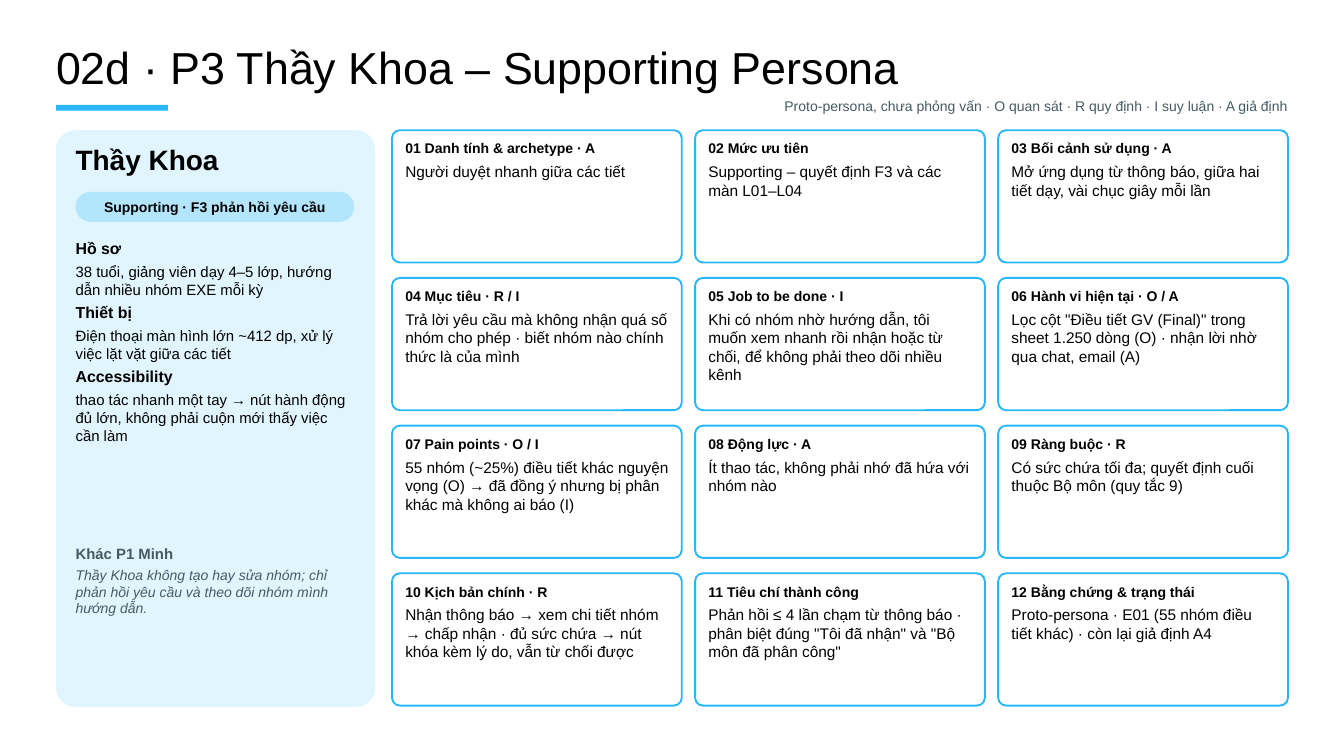
from dataclasses import dataclass
from typing import Optional

from pptx import Presentation
from pptx import util as u
from pptx.dml.color import RGBColor
from pptx.enum import shapes, text

PX = u.Inches(1) // 96
FONT = "Arial"
BLACK, SLATE, WHITE = "000000", "455A64", "FFFFFF"
ACCENT, PALE, SOFT = "29B6F6", "E1F5FE", "B3E5FC"


@dataclass(frozen=True)
class Box:
    left: int
    top: int
    width: int
    height: int

    def emu(self) -> tuple[int, int, int, int]:
        return (self.left * PX, self.top * PX, self.width * PX, self.height * PX)


@dataclass(frozen=True)
class Line:
    words: str
    size: float
    bold: bool = False
    italic: bool = False
    color: str = BLACK


@dataclass(frozen=True)
class Card:
    heading: str
    body: str


def rgb(color: str) -> RGBColor:
    return RGBColor.from_string(color)


def style(paragraph, line: Line) -> None:
    paragraph.text = line.words
    font = paragraph.font
    font.name, font.size = FONT, u.Pt(line.size)
    font.bold, font.italic = line.bold, line.italic
    font.color.rgb = rgb(line.color)


def prepare(frame, anchor=text.MSO_ANCHOR.TOP) -> None:
    frame.word_wrap = True
    frame.auto_size = text.MSO_AUTO_SIZE.NONE
    frame.vertical_anchor = anchor
    frame.margin_left = frame.margin_top = 0
    frame.margin_right = frame.margin_bottom = 0


def write(slide, box: Box, lines: list[Line], after: int = 4,
          align=text.PP_ALIGN.LEFT, anchor=text.MSO_ANCHOR.TOP) -> None:
    frame = slide.shapes.add_textbox(*box.emu()).text_frame
    prepare(frame, anchor)
    for index, line in enumerate(lines):
        paragraph = frame.add_paragraph() if index else frame.paragraphs[0]
        paragraph.alignment = align
        paragraph.space_after = u.Pt(after)
        style(paragraph, line)


def panel(slide, box: Box, fill: str, rounding: Optional[float] = None,
          outline: Optional[str] = None) -> None:
    kind = shapes.MSO_SHAPE.RECTANGLE if rounding is None else shapes.MSO_SHAPE.ROUNDED_RECTANGLE
    shape = slide.shapes.add_shape(kind, *box.emu())
    shape.shadow.inherit = False
    shape.fill.solid()
    shape.fill.fore_color.rgb = rgb(fill)
    if rounding is not None:
        shape.adjustments[0] = rounding
    if outline:
        shape.line.color.rgb = rgb(outline)
        shape.line.width = u.Pt(2)
    else:
        shape.line.fill.background()


def draw_header(slide) -> None:
    title = slide.shapes.title
    title.left, title.top, title.width, title.height = Box(80, 69, 1780, 68).emu()
    prepare(title.text_frame)
    heading = title.text_frame.paragraphs[0]
    style(heading, Line("02d · P3 Thầy Khoa – Supporting Persona", 48))
    heading.alignment = text.PP_ALIGN.LEFT
    heading.line_spacing = u.Pt(48)
    panel(slide, Box(80, 150, 160, 8), ACCENT)
    legend = "Proto-persona, chưa phỏng vấn · O quan sát · R quy định · I suy luận · A giả định"
    write(slide, Box(864, 139, 976, 34), [Line(legend, 15, color=SLATE)],
          align=text.PP_ALIGN.RIGHT)


def draw_profile(slide) -> None:
    left, width = 108, 398
    panel(slide, Box(80, 186, 456, 824), PALE, 0.06)
    write(slide, Box(left, 204, width, 58), [Line("Thầy Khoa", 30, bold=True)])
    panel(slide, Box(left, 274, width, 43), SOFT, 0.5)
    write(slide, Box(left, 276, width, 38),
          [Line("Supporting · F3 phản hồi yêu cầu", 15, bold=True)],
          align=text.PP_ALIGN.CENTER, anchor=text.MSO_ANCHOR.MIDDLE)
    details = []
    for fact in FACTS:
        details += [Line(fact.heading, 17, bold=True), Line(fact.body, 16)]
    write(slide, Box(left, 341, width, 442), details, after=5)
    contrast = "Thầy Khoa không tạo hay sửa nhóm; chỉ phản hồi yêu cầu và theo dõi nhóm mình hướng dẫn."
    write(slide, Box(left, 778, width, 211),
          [Line("Khác P1 Minh", 16, bold=True, color=SLATE),
           Line(contrast, 15, italic=True, color=SLATE)])


def draw_card(slide, left: int, top: int, card: Card) -> None:
    panel(slide, Box(left, top, 414, 189), WHITE, 0.06, ACCENT)
    write(slide, Box(left + 19, top + 14, 376, 165),
          [Line(card.heading, 15, bold=True), Line(card.body, 16.5)], after=6)


FACTS = [
    Card("Hồ sơ", "38 tuổi, giảng viên dạy 4–5 lớp, hướng dẫn nhiều nhóm EXE mỗi kỳ"),
    Card("Thiết bị", "Điện thoại màn hình lớn ~412 dp, xử lý việc lặt vặt giữa các tiết"),
    Card("Accessibility",
         "thao tác nhanh một tay → nút hành động đủ lớn, không phải cuộn mới thấy việc cần làm"),
]

CARDS = [
    Card("01 Danh tính & archetype · A", "Người duyệt nhanh giữa các tiết"),
    Card("02 Mức ưu tiên", "Supporting – quyết định F3 và các màn L01–L04"),
    Card("03 Bối cảnh sử dụng · A",
         "Mở ứng dụng từ thông báo, giữa hai tiết dạy, vài chục giây mỗi lần"),
    Card("04 Mục tiêu · R / I",
         "Trả lời yêu cầu mà không nhận quá số nhóm cho phép · biết nhóm nào chính thức là của mình"),
    Card("05 Job to be done · I",
         "Khi có nhóm nhờ hướng dẫn, tôi muốn xem nhanh rồi nhận hoặc từ chối, "
         "để không phải theo dõi nhiều kênh"),
    Card("06 Hành vi hiện tại · O / A",
         'Lọc cột "Điều tiết GV (Final)" trong sheet 1.250 dòng (O) · nhận lời nhờ qua chat, email (A)'),
    Card("07 Pain points · O / I",
         "55 nhóm (~25%) điều tiết khác nguyện vọng (O) → đã đồng ý nhưng "
         "bị phân khác mà không ai báo (I)"),
    Card("08 Động lực · A", "Ít thao tác, không phải nhớ đã hứa với nhóm nào"),
    Card("09 Ràng buộc · R", "Có sức chứa tối đa; quyết định cuối thuộc Bộ môn (quy tắc 9)"),
    Card("10 Kịch bản chính · R",
         "Nhận thông báo → xem chi tiết nhóm → chấp nhận · đủ sức chứa → "
         "nút khóa kèm lý do, vẫn từ chối được"),
    Card("11 Tiêu chí thành công",
         'Phản hồi ≤ 4 lần chạm từ thông báo · phân biệt đúng "Tôi đã nhận" và "Bộ môn đã phân công"'),
    Card("12 Bằng chứng & trạng thái",
         "Proto-persona · E01 (55 nhóm điều tiết khác) · còn lại giả định A4"),
]


def main() -> None:
    deck = Presentation()
    deck.slide_width, deck.slide_height = 1920 * PX, 1080 * PX
    slide = deck.slides.add_slide(deck.slide_layouts.get_by_name("Title Only"))
    draw_header(slide)
    draw_profile(slide)
    for index, card in enumerate(CARDS):
        row, column = divmod(index, 3)
        draw_card(slide, 560 + 433 * column, 186 + 211 * row, card)
    deck.save("out.pptx")


if __name__ == "__main__":
    main()
